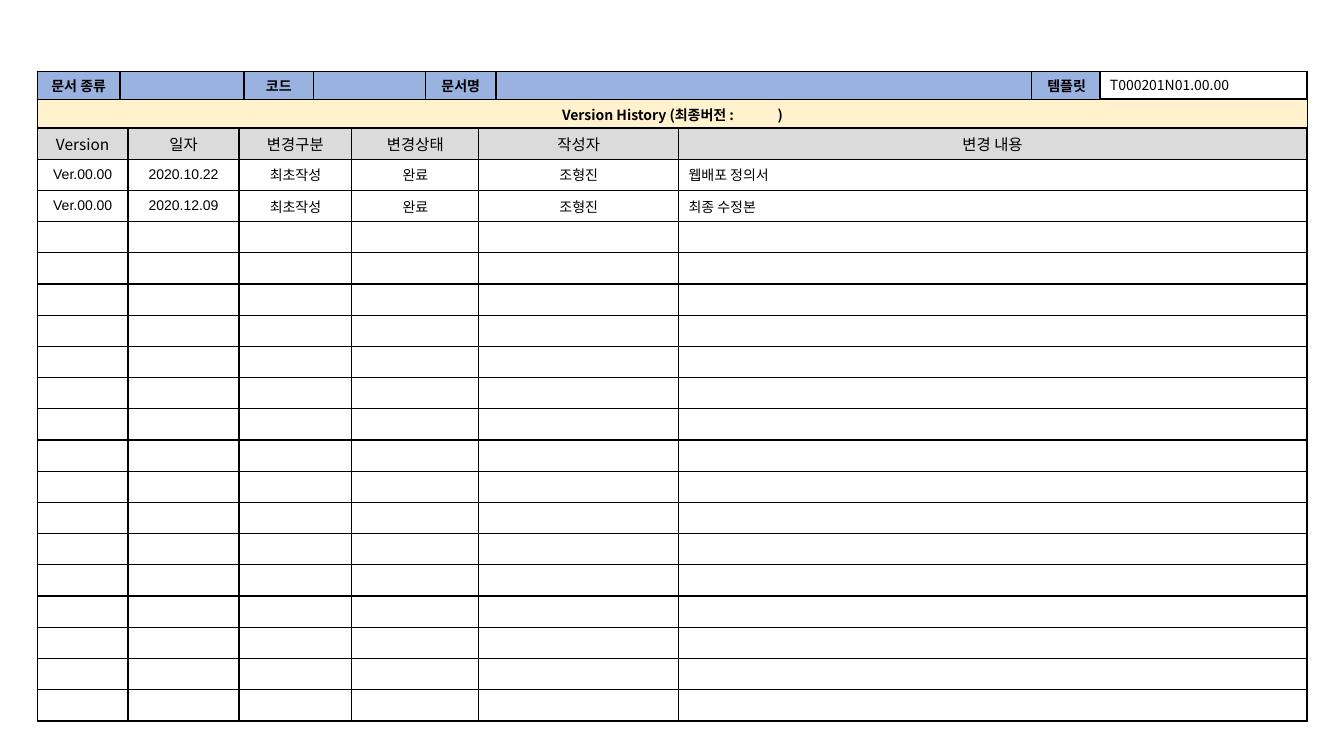
from lxml.etree import SubElement
from pptx import Presentation
from pptx.dml.color import RGBColor
from pptx.enum.shapes import MSO_SHAPE as Shape
from pptx.enum.text import MSO_ANCHOR as Anchor, PP_ALIGN as Align
from pptx.oxml.ns import qn
from pptx.util import Inches, Pt

COLORS = {"ink": "000000", "paper": "FFFFFF", "sheet": "E5F8FF",
          "document": "99B2DF", "title": "FFF2CC", "heading": "DBDBDB"}
KOREAN, LATIN = "Noto Sans CJK KR", "Arial"
LEFT, WIDTH = 0.37, 12.6


class SlideBuilder:
    def __init__(self, slide):
        self.slide = slide

    def color(self, name):
        return RGBColor.from_string(COLORS[name])

    def style(self, paragraph, size=10, font=KOREAN, bold=False, align=Align.CENTER):
        paragraph.alignment = align
        face = paragraph.font
        face.size, face.name, face.bold = Pt(size), font, bold
        face.color.rgb = self.color("ink")
        SubElement(face._element, qn("a:ea"), typeface=KOREAN)
        if not paragraph.runs:  # keeps empty rows from growing
            paragraph._p.get_or_add_endParaRPr().set("sz", str(size * 100))

    def box(self, left, top, width, height, fill, line=1.0, text=None):
        box = self.slide.shapes.add_shape(
            Shape.RECTANGLE, *map(Inches, (left, top, width, height)))
        box.shadow.inherit = False
        box.fill.solid()
        box.fill.fore_color.rgb = self.color(fill)
        box.line.color.rgb = self.color("ink")
        box.line.width = Pt(line)
        if text:
            box.text_frame.text = text
            box.text_frame.vertical_anchor = Anchor.MIDDLE
            self.style(box.text_frame.paragraphs[0], align=Align.LEFT)

    def border(self, cell):
        properties = cell._tc.get_or_add_tcPr()
        for position, side in enumerate(("a:lnL", "a:lnR", "a:lnT", "a:lnB")):
            line = SubElement(properties, qn(side), w=str(Pt(1)))
            fill = SubElement(line, qn("a:solidFill"))
            SubElement(fill, qn("a:srgbClr"), val=COLORS["ink"])
            properties.insert(position, line)

    def table(self, top, height, widths, rows, style_of):
        """style_of(row, column) gives the fill name and the text style."""
        table = self.slide.shapes.add_table(
            len(rows), len(widths), Inches(LEFT), Inches(top),
            Inches(WIDTH), Inches(height)).table
        table.first_row = table.horz_banding = False
        for column, width in zip(table.columns, widths):
            column.width = Inches(width)
        for r, texts in enumerate(rows):
            table.rows[r].height = Inches(height / len(rows))
            for c, text in enumerate(texts):
                fill, text_style = style_of(r, c)
                cell = table.cell(r, c)
                cell.text = text
                cell.vertical_anchor = Anchor.MIDDLE
                cell.margin_top = cell.margin_bottom = Inches(0.02)
                cell.fill.solid()
                cell.fill.fore_color.rgb = self.color(fill)
                self.border(cell)
                self.style(cell.text_frame.paragraphs[0], **text_style)
        return table


deck = Presentation()
deck.slide_width, deck.slide_height = Inches(13.33), Inches(7.5)
page = SlideBuilder(deck.slides.add_slide(deck.slide_layouts[6]))

# Sheet behind the tables
page.box(LEFT, 0.72, WIDTH, 6.44, "sheet")

# Document details
page.table(0.71, 0.28, [0.82, 1.23, 0.69, 1.11, 0.7, 5.31, 0.7, 2.04],
           [["문서 종류", "", "코드", "", "문서명", "", "템플릿", ""]],
           lambda r, c: ("document", {"bold": True}))

# Title band, with a wide gap left for the final version
title = page.table(0.99, 0.29, [WIDTH], [["Version History (최종버전 :"]],
                   lambda r, c: ("title", {"bold": True}))
title_line = title.cell(0, 0).text_frame.paragraphs[0]
version_gap, closing = title_line.add_run(), title_line.add_run()
version_gap.text, closing.text = " ", ")"
version_gap.font._element.set("spc", "2900")

# Template number
page.box(10.91, 0.71, 2.05, 0.27, "paper", 0.75, "T000201N01.00.00")

# Version history
HEADINGS = ["Version", "일자", "변경구분", "변경상태", "작성자", "변경 내용"]
CHANGES = [("2020.10.22", "웹배포 정의서"), ("2020.12.09", "최종 수정본")]
EMPTY_ROWS = 16
history = [HEADINGS]
history += [["Ver.00.00", date, "최초작성", "완료", "조형진", change]
            for date, change in CHANGES]
history += [[""] * len(HEADINGS)] * EMPTY_ROWS


def history_style(row, column):
    if row == 0:
        return "heading", {"size": 11}
    is_change = column == len(HEADINGS) - 1
    return "paper", {"font": LATIN, "align": Align.LEFT if is_change else Align.CENTER}


page.table(1.27, 5.88, [0.9, 1.1, 1.12, 1.26, 1.98, 6.23], history, history_style)

deck.save("out.pptx")
